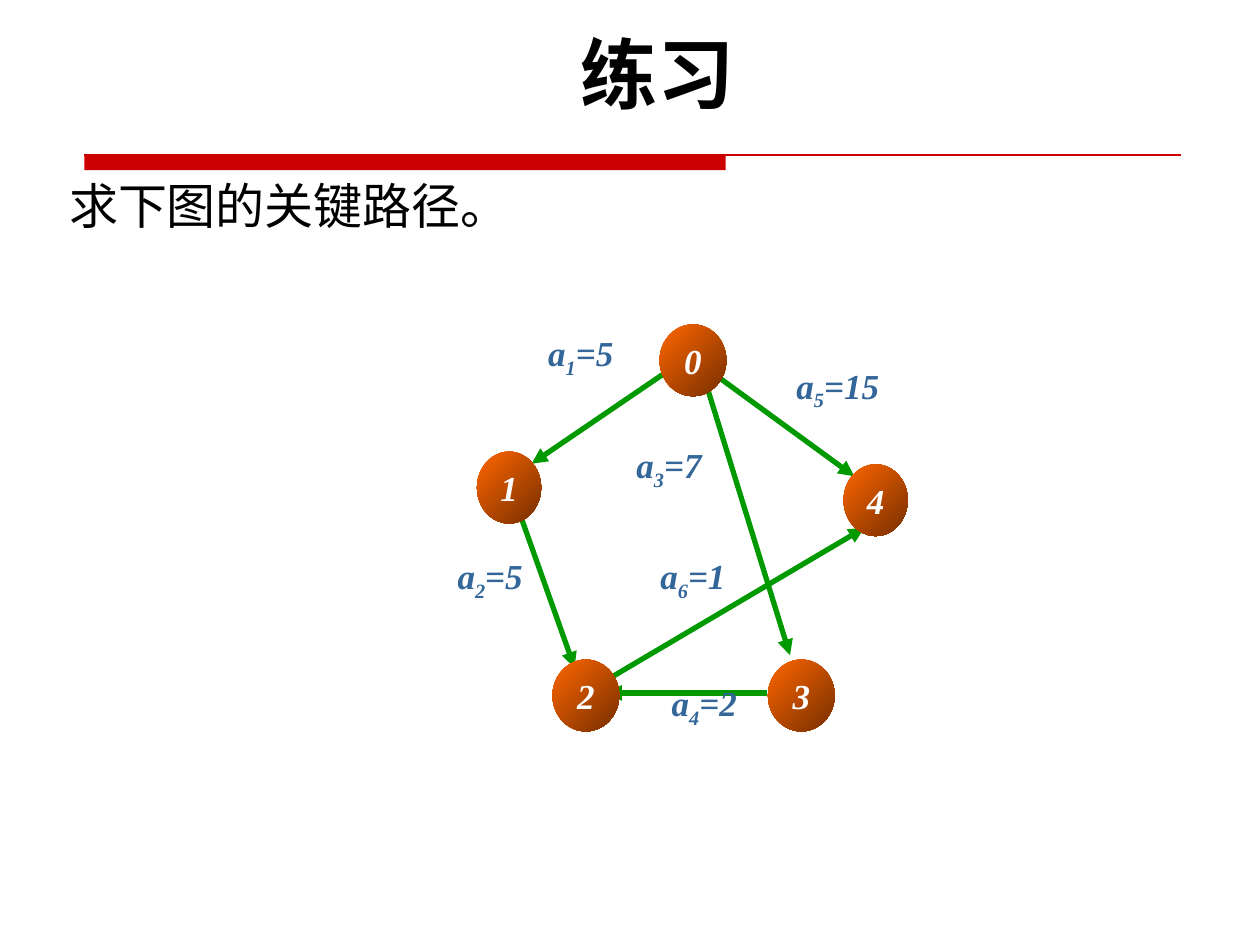
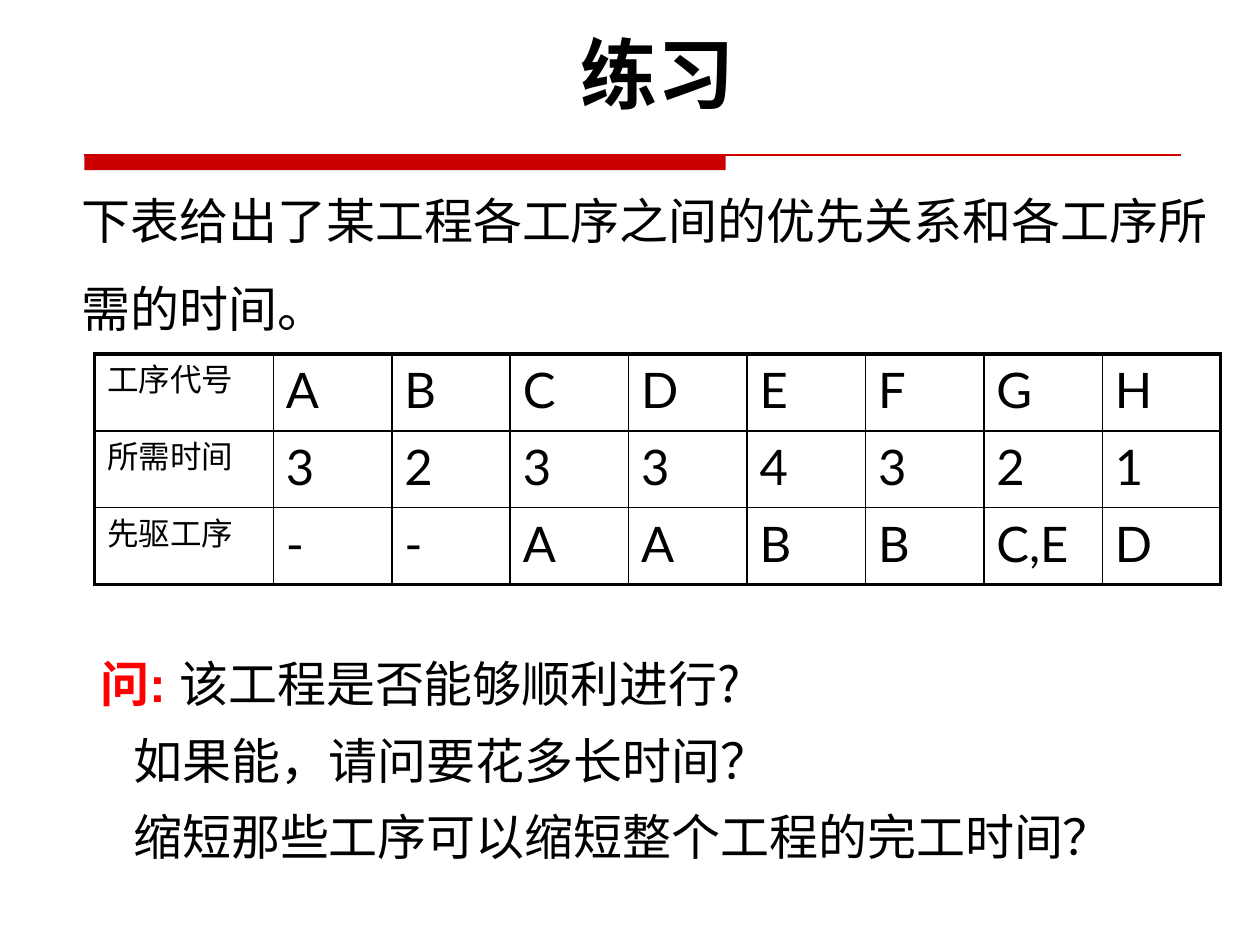
from pptx import Presentation
from pptx.util import Inches, Pt
from pptx.dml.color import RGBColor
from pptx.enum.shapes import MSO_SHAPE, MSO_CONNECTOR
from pptx.enum.text import PP_ALIGN, MSO_ANCHOR
from pptx.oxml.ns import qn
from lxml.etree import SubElement

WIDE, HIGH = 10, 7.5
HEX = {"ink": "000000", "band": "CC0000", "ask": "FF0000", "edge": "009900",
       "label": "336699", "glow": "FF6600", "dusk": "762F00", "white": "FFFFFF"}
CJK, LATO, ROMAN, ARIAL = "Noto Sans CJK SC", "Lato", "Times New Roman", "Arial"

TITLE = "练习"
TASK = "求下图的关键路径。"
INTRO = "下表给出了某工程各工序之间的优先关系和各工序所需的时间。"
ASK = ("问: ", "该工程是否能够顺利进行?")
MORE = ["如果能，请问要花多长时间？", "缩短那些工序可以缩短整个工程的完工时间？"]

# node name: centre x, centre y, width
NODES = {"1": (4.04, 3.87, 0.51), "3": (6.36, 5.52, 0.53), "2": (4.65, 5.52, 0.53),
         "4": (6.95, 3.97, 0.51), "0": (5.5, 2.86, 0.53)}
NODE_H = 0.57
# start point, arrow point
EDGES = [((5.67, 2.97), (6.78, 3.78)), ((4.13, 4.09), (4.56, 5.3)),
         ((5.41, 2.87), (4.22, 3.68)), ((5.58, 2.97), (6.27, 5.2)),
         ((6.09, 5.5), (4.81, 5.5)), ((4.81, 5.4), (6.86, 4.19))]
# activity number, time, centre x, top
COSTS = [(1, 5, 4.61, 2.58), (2, 5, 3.89, 4.35), (5, 15, 6.65, 2.84),
         (6, 1, 5.5, 4.35), (3, 7, 5.31, 3.47), (4, 2, 5.59, 5.36)]
COST_W, COST_H = 1.2, 0.67

ROWS = [["工序代号", *"ABCDEFGH"],
        ["所需时间", *"32334321"],
        ["先驱工序", "-", "-", "A", "A", "B", "B", "C,E", "D"]]
HEAD_W, COL_W, ROW_H = 1.42, 0.94, 0.61
THIN, THICK = 1, 2.25


def tint(name):
    """Return the named colour."""
    return RGBColor.from_string(HEX[name])


def write(para, text, size=28, font=CJK, color="ink", bold=False, italic=False, base=0):
    """Add one formatted run to a paragraph."""
    run = para.add_run()
    run.text = text
    look = run.font
    look.size, look.bold, look.italic = Pt(size), bold, italic
    look.color.rgb = tint(color)
    look.name = font
    props = run._r.get_or_add_rPr()
    SubElement(props, qn("a:ea")).set("typeface", font)
    if base:
        props.set("baseline", str(base * 1000))
    return run


def box(shapes, at, anchor=MSO_ANCHOR.TOP):
    """Add a wrapping text box and return its frame."""
    frame = shapes.add_textbox(*map(Inches, at)).text_frame
    frame.word_wrap = True
    frame.vertical_anchor = anchor
    return frame


def line(shapes, start, end, color, width, arrow=False):
    """Draw a straight line, with an arrowhead at its end if asked."""
    link = shapes.add_connector(MSO_CONNECTOR.STRAIGHT, *map(Inches, start + end))
    link.line.color.rgb = tint(color)
    link.line.width = Pt(width)
    if arrow:
        SubElement(link.line._get_or_add_ln(), qn("a:tailEnd")).set("type", "triangle")
    SubElement(link._element.spPr, qn("a:effectLst"))


def page(deck):
    """Add a blank slide with the red band and the title."""
    shapes = deck.slides.add_slide(deck.slide_layouts[6]).shapes
    left, top, right = 0.67, 1.23, 9.37
    band = shapes.add_shape(MSO_SHAPE.RECTANGLE, *map(Inches, (left, top, 5.09, 0.12)))
    band.shadow.inherit = False
    band.fill.solid()
    band.fill.fore_color.rgb = tint("band")
    band.line.fill.background()
    line(shapes, (left, top), (right, top), "band", 0.75)
    para = box(shapes, (0.59, 0.16, 9.25, 0.84)).paragraphs[0]
    para.alignment = PP_ALIGN.CENTER
    write(para, TITLE, size=44, font=LATO, bold=True)
    return shapes


def node(shapes, name, x, y, wide):
    """Draw one numbered node around its centre."""
    at = (x - wide / 2, y - NODE_H / 2, wide, NODE_H)
    ball = shapes.add_shape(MSO_SHAPE.OVAL, *map(Inches, at))
    ball.shadow.inherit = False
    ball.line.fill.background()
    ball.fill.gradient()
    ball.fill.gradient_angle = 315
    for stop, color, place in zip(ball.fill.gradient_stops, ("glow", "dusk"), (0, 1)):
        stop.color.rgb = tint(color)
        stop.position = place
    frame = ball.text_frame
    frame.margin_left = frame.margin_right = 0
    frame.word_wrap = False
    frame.vertical_anchor = MSO_ANCHOR.MIDDLE
    para = frame.paragraphs[0]
    para.alignment = PP_ALIGN.CENTER
    write(para, name, size=20, font=ROMAN, color="white", bold=True, italic=True)


def cost(shapes, num, time, x, top):
    """Write one activity label with its subscript."""
    para = box(shapes, (x - COST_W / 2, top, COST_W, COST_H)).paragraphs[0]
    para.alignment = PP_ALIGN.CENTER
    for text, base in (("a", 0), (str(num), -25), (f"={time}", 0)):
        write(para, text, size=20, font=ROMAN, color="label", bold=True,
              italic=True, base=base)


def frame_cell(cell, row, col):
    """Give a cell its borders, thick on the table's outer edge."""
    props = cell._tc.get_or_add_tcPr()
    outer = {"lnL": col == 0, "lnR": col == len(ROWS[0]) - 1,
             "lnT": row == 0, "lnB": row == len(ROWS) - 1}
    for side, edge in outer.items():
        rule = SubElement(props, qn(f"a:{side}"))
        rule.set("w", str(Pt(THICK if edge else THIN)))
        fill = SubElement(rule, qn("a:solidFill"))
        SubElement(fill, qn("a:srgbClr")).set("val", HEX["ink"])
    cell.fill.background()


def grid(shapes, left, top):
    """Draw the table of steps."""
    count = len(ROWS[0])
    size = (HEAD_W + COL_W * (count - 1), ROW_H * len(ROWS))
    table = shapes.add_table(len(ROWS), count, *map(Inches, (left, top) + size)).table
    table.first_row = table.horz_banding = False
    for col in range(count):
        table.columns[col].width = Inches(COL_W if col else HEAD_W)
    for row, words in enumerate(ROWS):
        table.rows[row].height = Inches(ROW_H)
        for col, word in enumerate(words):
            cell = table.cell(row, col)
            write(cell.text_frame.paragraphs[0], word, size=28 if col else 18, font=LATO)
            frame_cell(cell, row, col)


def graph_page(deck):
    """Build the slide with the network."""
    shapes = page(deck)
    para = box(shapes, (0.45, 1.05, 8.88, 0.86), MSO_ANCHOR.BOTTOM).paragraphs[0]
    para.line_spacing = 1.5
    write(para, TASK)
    group = shapes.add_group_shape().shapes
    for start, end in EDGES:
        line(group, start, end, "edge", 3, arrow=True)
    for name, place in NODES.items():
        node(group, name, *place)
    for item in COSTS:
        cost(group, *item)


def table_page(deck):
    """Build the slide with the table and the questions."""
    shapes = page(deck)
    grid(shapes, 0.75, 2.81)
    para = box(shapes, (0.55, 1.41, 9.29, 1.32), MSO_ANCHOR.BOTTOM).paragraphs[0]
    para.line_spacing = 1.5
    write(para, INTRO)
    frame = box(shapes, (0.7, 5, 8.84, 1.85))
    para = frame.paragraphs[0]
    para.line_spacing = 1.3
    write(para, ASK[0], font=ARIAL, color="ask", bold=True)
    write(para, ASK[1])
    for text in MORE:
        para = frame.add_paragraph()
        para.line_spacing = 1.3
        para._p.get_or_add_pPr().set("marL", str(Inches(0.26)))
        write(para, text)


deck = Presentation()
deck.slide_width, deck.slide_height = Inches(WIDE), Inches(HIGH)
graph_page(deck)
table_page(deck)
deck.save("out.pptx")
